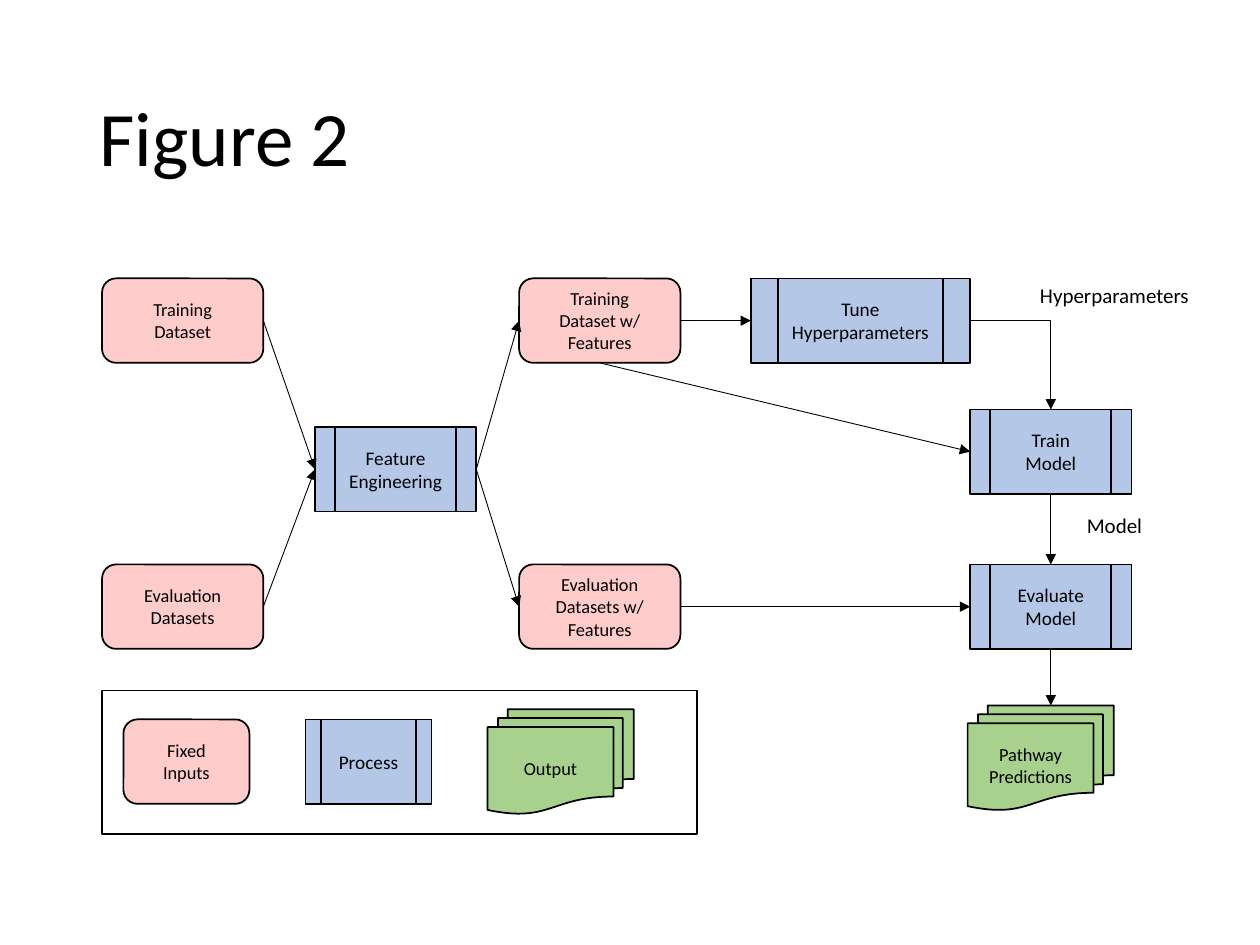
from lxml import etree
from pptx import Presentation
from pptx.dml.color import RGBColor
from pptx.enum.shapes import MSO_CONNECTOR, MSO_SHAPE
from pptx.enum.text import MSO_ANCHOR, MSO_AUTO_SIZE, PP_ALIGN
from pptx.oxml.ns import qn
from pptx.util import Inches, Pt

CENTER, LEFT_ALIGN = PP_ALIGN.CENTER, PP_ALIGN.LEFT
MIDDLE = MSO_ANCHOR.MIDDLE
NO_AUTOFIT, GROW = MSO_AUTO_SIZE.NONE, MSO_AUTO_SIZE.SHAPE_TO_FIT_TEXT
STRAIGHT, ELBOW = MSO_CONNECTOR.STRAIGHT, MSO_CONNECTOR.ELBOW
RECTANGLE = MSO_SHAPE.RECTANGLE
TOP, LEFT, BOTTOM, RIGHT = range(4)
FONT, BLACK = "Calibri", "000000"

# kind: preset shape, fill, text size
KINDS = {
    "input": (MSO_SHAPE.FLOWCHART_ALTERNATE_PROCESS, "FFCCCC", 10.5),
    "process": (MSO_SHAPE.FLOWCHART_PREDEFINED_PROCESS, "B4C7E7", 11),
    "output": (MSO_SHAPE.FLOWCHART_MULTIDOCUMENT, "A9D18E", 10.5),
}
NODE_WIDTH, NODE_HEIGHT = 1.28, 0.67
OUTPUT_WIDTH, OUTPUT_HEIGHT = 1.16, 0.83


def color(hex_value):
    return RGBColor.from_string(hex_value)


def set_text(frame, lines, size, align=CENTER):
    frame.text = "\n".join(lines)
    for para in frame.paragraphs:
        para.alignment = align
        para.font.name, para.font.size = FONT, Pt(size)
        para.font.color.rgb = color(BLACK)


def outline(shape):
    shape.shadow.inherit = False
    shape.line.color.rgb = color(BLACK)
    shape.line.width = Pt(1)


def add_node(page, kind, lines, box):
    preset, fill, size = KINDS[kind]
    node = page.shapes.add_shape(preset, *map(Inches, box))
    outline(node)
    node.fill.solid()
    node.fill.fore_color.rgb = color(fill)
    frame = node.text_frame
    frame.word_wrap = True
    frame.vertical_anchor = MIDDLE
    frame.margin_left = frame.margin_right = Inches(0.05)
    set_text(frame, lines, size)
    return node


def add_label(page, text, box):
    label = page.shapes.add_textbox(*map(Inches, box))
    frame = label.text_frame
    frame.word_wrap = False
    frame.auto_size = GROW
    set_text(frame, [text], 12)


def add_arrow(page, start, start_side, end, end_side, kind=STRAIGHT):
    """Join two nodes; end may also be a free (x, y) point in inches."""
    free_end = isinstance(end, tuple)
    x, y = end if free_end else (0, 0)
    arrow = page.shapes.add_connector(kind, 0, 0, Inches(x), Inches(y))
    arrow.begin_connect(start, start_side)
    if not free_end:
        arrow.end_connect(end, end_side)
    arrow.line.color.rgb = color(BLACK)
    arrow.line.width = Pt(0.5)
    line = arrow.line._get_or_add_ln()
    etree.SubElement(line, qn("a:tailEnd"), type="triangle")
    properties = arrow._element.spPr
    etree.SubElement(properties, qn("a:effectLst"))
    if kind == ELBOW:  # a single corner
        properties.find(qn("a:prstGeom")).set("prst", "bentConnector2")


def add_title(page, box):
    title = page.shapes.title
    title.left, title.top, title.width, title.height = map(Inches, box)
    frame = title.text_frame
    frame.vertical_anchor = MIDDLE
    frame.auto_size = NO_AUTOFIT
    set_text(frame, ["Figure 2"], 44, LEFT_ALIGN)
    frame.paragraphs[0].line_spacing = 0.9


def add_flow(page, box):
    left, top, width, height = box
    bottom = top + height - NODE_HEIGHT
    model_left = left + width - NODE_WIDTH
    featured_left = left + 3.31

    def node(kind, lines, x, y, node_width=NODE_WIDTH):
        return add_node(page, kind, lines, (x, y, node_width, NODE_HEIGHT))

    # Inputs and processes
    training = node("input", ["Training", "Dataset"], left, top)
    evaluation = node("input", ["Evaluation", "Datasets"], left, bottom)
    engineering = node("process", ["Feature", "Engineering"], left + 1.69, top + 1.18)
    featured_training = node(
        "input", ["Training", "Dataset w/", "Features"], featured_left, top)
    featured_evaluation = node(
        "input", ["Evaluation", "Datasets w/", "Features"], featured_left, bottom)
    tune = node("process", ["Tune", "Hyperparameters"], model_left - 1.74, top, 1.74)
    train = node("process", ["Train", "Model"], model_left, top + 1.04)
    evaluate = node("process", ["Evaluate", "Model"], model_left, bottom)

    # Final output
    output_top = top + height + 0.45
    add_node(page, "output", ["Pathway", "Predictions"],
             (model_left - 0.02, output_top, OUTPUT_WIDTH, OUTPUT_HEIGHT))

    # Arrows
    for start, start_side, end, end_side in [
        (training, RIGHT, engineering, LEFT),
        (evaluation, RIGHT, engineering, LEFT),
        (engineering, RIGHT, featured_training, LEFT),
        (engineering, RIGHT, featured_evaluation, LEFT),
        (featured_training, RIGHT, tune, LEFT),
        (featured_training, BOTTOM, train, LEFT),
        (featured_evaluation, RIGHT, evaluate, LEFT),
        (train, BOTTOM, evaluate, TOP),
        (evaluate, BOTTOM, (model_left + NODE_WIDTH / 2, output_top), None),
    ]:
        add_arrow(page, start, start_side, end, end_side)
    add_arrow(page, tune, RIGHT, train, TOP, ELBOW)

    # Arrow labels
    add_label(page, "Hyperparameters", (model_left + 0.45, top - 0.02, 1.39, 0.3))
    add_label(page, "Model", (model_left + 0.82, top + 1.81, 0.65, 0.3))


def add_legend(page, box):
    frame = page.shapes.add_shape(RECTANGLE, *map(Inches, box))
    outline(frame)
    frame.fill.background()
    left, top = box[:2]
    entries = [
        ("input", ["Fixed", "Inputs"], 0.23, 1, NODE_HEIGHT),
        ("process", ["Process"], 0.23, 1, NODE_HEIGHT),
        ("output", ["Output"], 0.15, OUTPUT_WIDTH, OUTPUT_HEIGHT),
    ]
    for index, (kind, lines, offset, width, height) in enumerate(entries):
        x = left + 0.17 + index * 1.445
        add_node(page, kind, lines, (x, top + offset, width, height))


def main():
    deck = Presentation()
    deck.slide_width, deck.slide_height = Inches(10), Inches(7.5)
    page = deck.slides.add_slide(deck.slide_layouts[5])
    add_title(page, (0.69, 0.4, 8.62, 1.45))
    add_flow(page, (0.81, 2.21, 8.17, 2.94))
    add_legend(page, (0.81, 5.48, 4.72, 1.14))
    deck.save("out.pptx")


if __name__ == "__main__":
    main()
